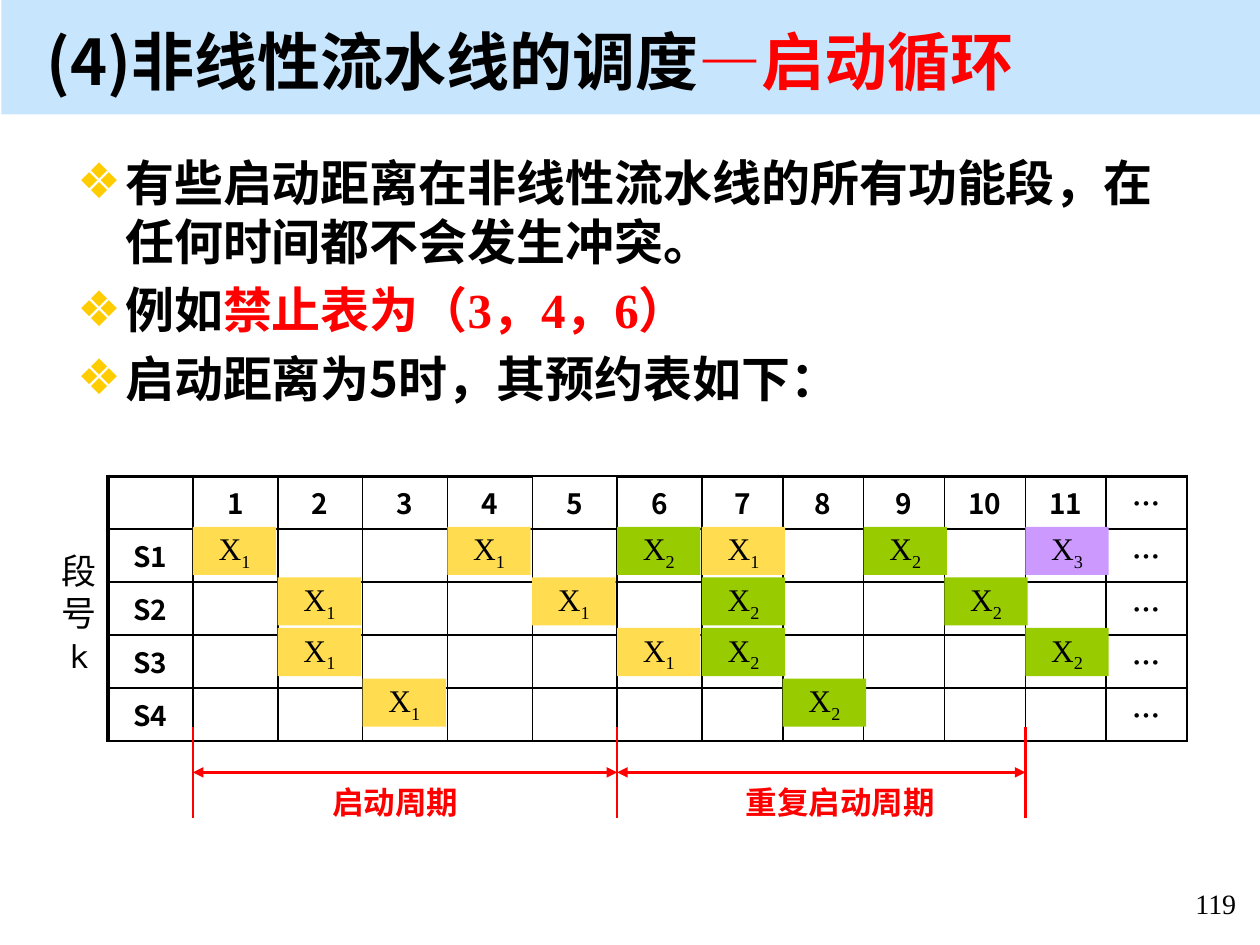
"""Build the slide on initiation cycles of a nonlinear pipeline."""
from itertools import accumulate
from typing import NamedTuple

from lxml import etree
from pptx import Presentation
from pptx.dml.color import RGBColor
from pptx.enum.shapes import MSO_CONNECTOR, MSO_SHAPE
from pptx.enum.text import MSO_ANCHOR, MSO_AUTO_SIZE, PP_ALIGN
from pptx.oxml.ns import qn
from pptx.util import Cm, Pt

STRAIGHT, RECTANGLE = MSO_CONNECTOR.STRAIGHT, MSO_SHAPE.RECTANGLE
TOP, MIDDLE = MSO_ANCHOR.TOP, MSO_ANCHOR.MIDDLE
LEFT, CENTER = PP_ALIGN.LEFT, PP_ALIGN.CENTER
NO_FIT = MSO_AUTO_SIZE.NONE

COLORS = {"black": "000000", "red": "FF0000", "band": "C7E6FD", "bullet": "FFCC00",
          "X1": "FFDC50", "X2": "99CC00", "X3": "CC99FF"}
SANS, SERIF, LABEL = "Noto Sans CJK SC", "Times New Roman", "Karla"

TABLE_LEFT, TABLE_TOP, ROW_HEIGHT = 2.18, 9.6, 1.01
COLUMN_WIDTHS = [1.71] * 7 + [1.63] * 6
COLUMN_LEFTS = list(accumulate(COLUMN_WIDTHS, initial=TABLE_LEFT))
HEADERS = [""] + [str(clock) for clock in range(1, 12)] + ["…"]
STAGES = ["S1", "S2", "S3", "S4"]
TASK_TOP, TASK_STEP = 10.62, 1.02
TICK_TOP, TICK_BOTTOM, SPAN_Y = 14.66, 16.48, 15.57


class Piece(NamedTuple):
    """A stretch of text in one colour and Latin font."""
    text: str
    color: str = "black"
    font: str = SANS


class Task(NamedTuple):
    """A task with the (stage, clock) cells that it occupies."""
    number: int
    cells: list


class Period(NamedTuple):
    """A labelled span between two clock columns."""
    label: str
    first: int
    last: int
    label_left: float
    label_width: float


TITLE = [Piece("(4)非线性流水线的调度"), Piece("—启动循环", "red")]
POINTS = [
    [Piece("有些启动距离在非线性流水线的所有功能段，在任何时间都不会发生冲突。")],
    [Piece("例如"), Piece("禁止表为（3，4，6）", "red", SERIF)],
    [Piece("启动距离为5时，其预约表如下：")],
]
TASKS = [
    Task(1, [(1, 1), (2, 2), (3, 2), (4, 3), (1, 4), (2, 5), (3, 6), (1, 7)]),
    Task(2, [(1, 6), (2, 7), (3, 7), (4, 8), (1, 9), (2, 10), (3, 11)]),
    Task(3, [(1, 11)]),
]
PERIODS = [Period("启动周期", 1, 6, 6.45, 3.07), Period("重复启动周期", 6, 11, 14.78, 4.39)]


def rgb(name: str) -> RGBColor:
    """Look up a colour."""
    return RGBColor.from_string(COLORS[name])


def add_pieces(paragraph, pieces: list, size: float, bold: bool = False) -> None:
    """Write pieces of text as formatted runs."""
    for piece in pieces:
        run = paragraph.add_run()
        run.text = piece.text
        font = run.font
        font.size, font.bold, font.name = Pt(size), bold, piece.font
        font.color.rgb = rgb(piece.color)
        east_asian = etree.SubElement(run._r.get_or_add_rPr(), qn("a:ea"))
        east_asian.set("typeface", SANS)


def place(holder, left: float, top: float, width: float, height: float) -> None:
    """Move and size a placeholder."""
    holder.left, holder.top = Cm(left), Cm(top)
    holder.width, holder.height = Cm(width), Cm(height)
    holder.text_frame.auto_size = NO_FIT


def add_bullet(paragraph) -> None:
    """Give a paragraph a gold diamond and a hanging indent."""
    properties = paragraph._p.get_or_add_pPr()
    properties.set("marL", str(Cm(0.97)))
    properties.set("indent", str(-Cm(0.97)))
    color = etree.SubElement(properties, qn("a:buClr"))
    etree.SubElement(color, qn("a:srgbClr")).set("val", COLORS["bullet"])
    etree.SubElement(properties, qn("a:buChar")).set("char", "❖")


def add_label(slide, box: tuple, piece: Piece, size: float, bold: bool = False,
              align=LEFT, wrap: bool = True) -> None:
    """Add a text box with one piece of text."""
    frame = slide.shapes.add_textbox(*map(Cm, box)).text_frame
    frame.word_wrap = wrap
    frame.paragraphs[0].alignment = align
    add_pieces(frame.paragraphs[0], [piece], size, bold)


def add_block(slide, box: tuple, color: str):
    """Add a plain filled rectangle."""
    block = slide.shapes.add_shape(RECTANGLE, *map(Cm, box))
    block.shadow.inherit = False
    block.fill.solid()
    block.fill.fore_color.rgb = rgb(color)
    block.line.fill.background()
    return block


def add_task(slide, number: int, stage: int, clock: int) -> None:
    """Mark one reserved cell with its task."""
    top = TASK_TOP + TASK_STEP * (stage - 1)
    block = add_block(slide, (COLUMN_LEFTS[clock], top, 1.68, 0.97), f"X{number}")
    frame = block.text_frame
    frame.word_wrap, frame.vertical_anchor = False, MIDDLE
    paragraph = frame.paragraphs[0]
    paragraph.alignment = CENTER
    add_pieces(paragraph, [Piece("X", font=SERIF), Piece(str(number), font=SERIF)], 18)
    paragraph.runs[1]._r.get_or_add_rPr().set("baseline", "-25000")


def add_line(slide, start: tuple, end: tuple, arrows: bool = False) -> None:
    """Draw a red line, with arrowheads at both ends if asked."""
    line = slide.shapes.add_connector(STRAIGHT, *map(Cm, start + end))
    line.line.color.rgb = rgb("red")
    line.line.width = Pt(1.5)
    etree.SubElement(line._element.spPr, qn("a:effectLst"))
    if arrows:
        outline = line.line._get_or_add_ln()
        for tip in ("a:headEnd", "a:tailEnd"):
            etree.SubElement(outline, qn(tip)).set("type", "triangle")


def set_borders(cell, left: float, top: float) -> None:
    """Draw black cell borders, thin on the right and at the bottom."""
    properties = cell._tc.get_or_add_tcPr()
    widths = {"a:lnL": left, "a:lnR": 1, "a:lnT": top, "a:lnB": 1}
    for index, (side, width) in enumerate(widths.items()):
        border = etree.Element(qn(side), w=str(Pt(width)))
        fill = etree.SubElement(border, qn("a:solidFill"))
        etree.SubElement(fill, qn("a:srgbClr")).set("val", COLORS["black"])
        properties.insert(index, border)


def add_reservation_table(slide) -> None:
    """Add the grid of stages against clocks."""
    rows = [HEADERS] + [[stage] + [""] * 11 + ["…"] for stage in STAGES]
    table = slide.shapes.add_table(
        len(rows), len(HEADERS), Cm(TABLE_LEFT), Cm(TABLE_TOP),
        Cm(sum(COLUMN_WIDTHS)), Cm(ROW_HEIGHT * len(rows))).table
    table.first_row = table.horz_banding = False
    for column, width in zip(table.columns, COLUMN_WIDTHS):
        column.width = Cm(width)
    for row, texts in enumerate(rows):
        table.rows[row].height = Cm(ROW_HEIGHT)
        for column, text in enumerate(texts):
            cell = table.cell(row, column)
            cell.fill.background()
            cell.vertical_anchor = MIDDLE if row and text == "…" else TOP
            paragraph = cell.text_frame.paragraphs[0]
            paragraph.alignment = CENTER
            if text:
                add_pieces(paragraph, [Piece(text)], 16, True)
            else:
                paragraph.font.size = Pt(16)
            set_borders(cell, 1 if column else 2.25,
                        2.25 if row == 0 and column != 5 else 1)


def main() -> None:
    """Compose and save the slide."""
    deck = Presentation()
    deck.slide_width, deck.slide_height = Cm(25.4), Cm(19.05)
    slide = deck.slides.add_slide(deck.slide_layouts[1])
    title, body = slide.placeholders
    band = add_block(slide, (0.03, 0, 25.37, 2.31), "band")
    title._element.addprevious(band._element)

    place(title, 0.69, 0.36, 24.23, 1.7)
    title.text_frame.vertical_anchor = MIDDLE
    title.text_frame.paragraphs[0].alignment = LEFT
    add_pieces(title.text_frame.paragraphs[0], TITLE, 36, True)

    place(body, 1.3, 2.95, 22.86, 5.77)
    for index, pieces in enumerate(POINTS):
        frame = body.text_frame
        paragraph = frame.add_paragraph() if index else frame.paragraphs[0]
        add_bullet(paragraph)
        paragraph.line_spacing = Pt(33.6)
        paragraph.space_before = Pt(5.6 if index else 0)
        add_pieces(paragraph, pieces, 28, True)

    add_reservation_table(slide)
    add_label(slide, (0.99, 10.95, 1.09, 2.79), Piece("段号 k", font=LABEL), 20)
    for task in TASKS:
        for stage, clock in task.cells:
            add_task(slide, task.number, stage, clock)

    for clock in (1, 6, 11):
        x = COLUMN_LEFTS[clock]
        add_line(slide, (x, TICK_TOP), (x, TICK_BOTTOM))
    for period in PERIODS:
        start, end = COLUMN_LEFTS[period.first], COLUMN_LEFTS[period.last]
        add_line(slide, (start, SPAN_Y), (end, SPAN_Y), arrows=True)
        add_label(slide, (period.label_left, 15.67, period.label_width, 1.02),
                  Piece(period.label, "red", SERIF), 18, True, wrap=False)
    add_label(slide, (23.62, 17.75, 1.78, 0.84), Piece("119", font=SERIF), 16, align=CENTER)
    deck.save("out.pptx")


if __name__ == "__main__":
    main()
